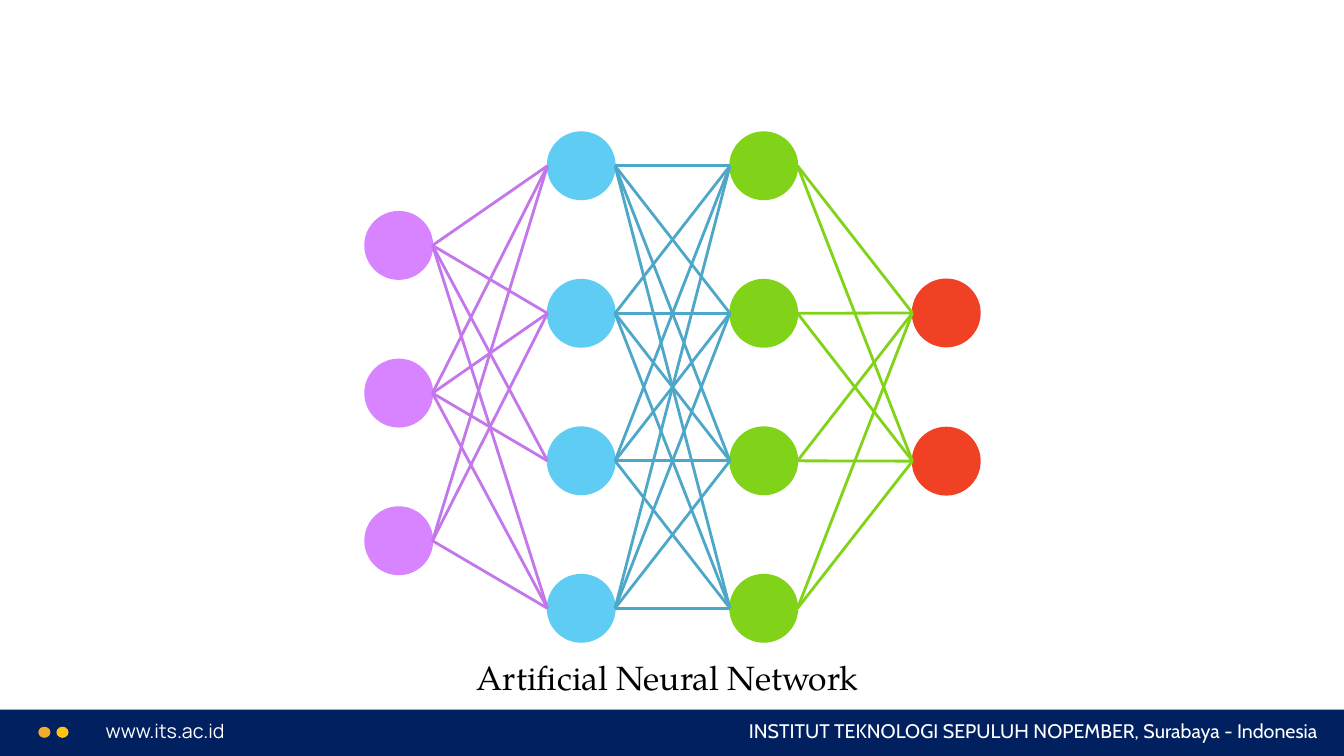
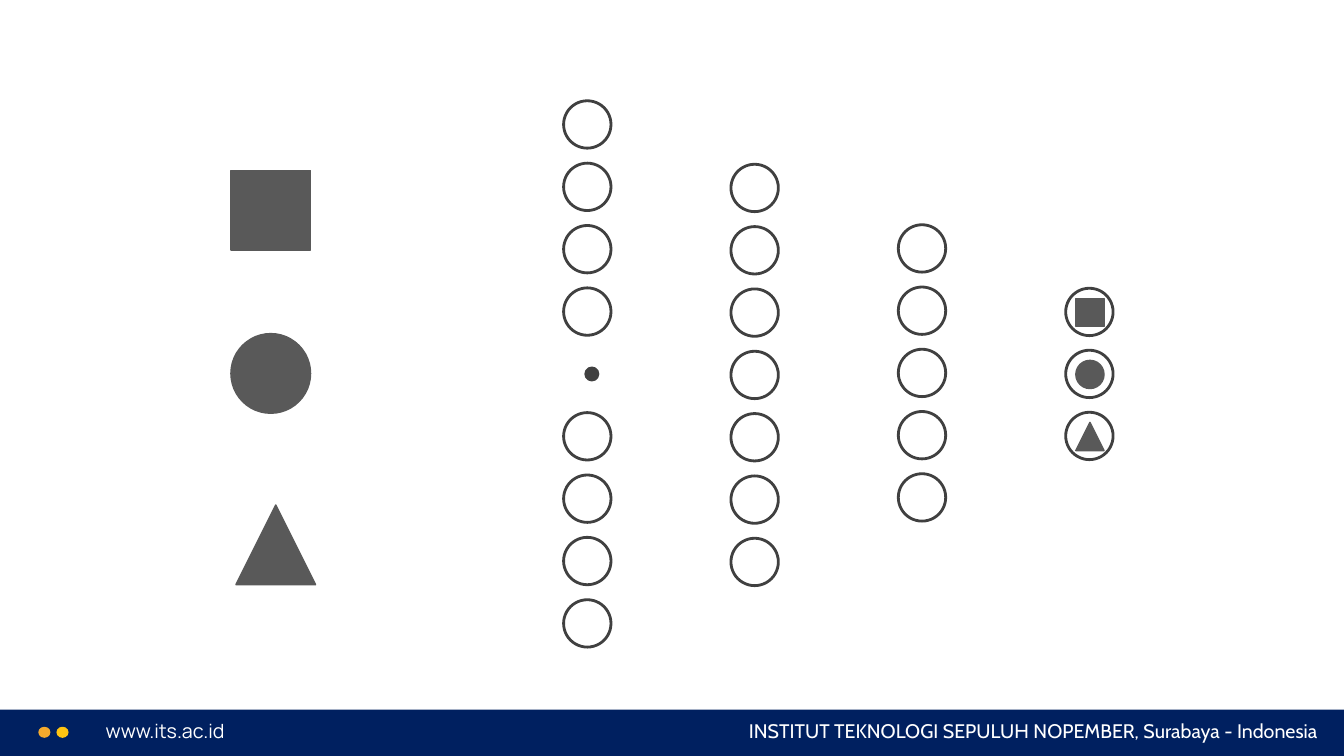
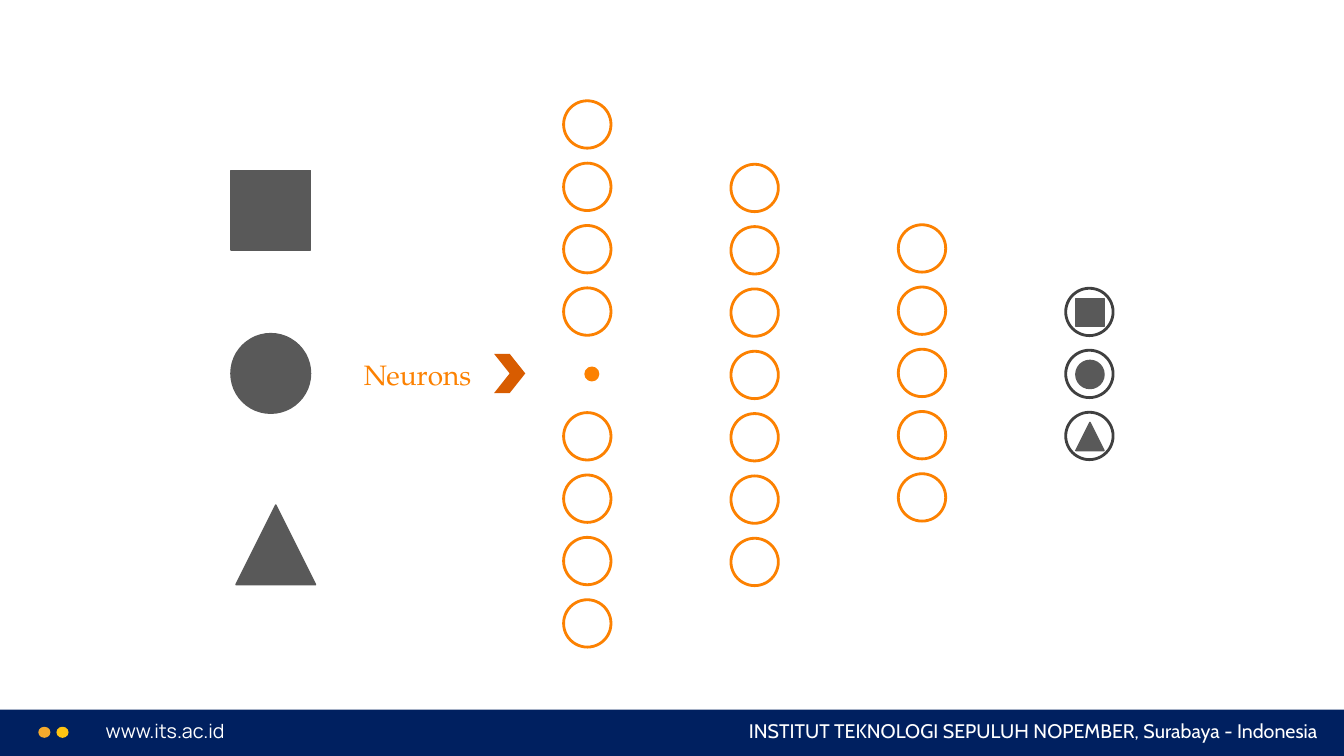
from lxml.etree import SubElement
from pptx import Presentation
from pptx.dml.color import RGBColor
from pptx.enum.shapes import MSO_CONNECTOR, MSO_SHAPE
from pptx.enum.text import MSO_ANCHOR, MSO_AUTO_SIZE, PP_ALIGN
from pptx.oxml.ns import qn
from pptx.util import Inches, Pt

NAVY, WHITE, BLACK = "002060", "FFFFFF", "000000"
AMBER, YELLOW = "F5AA2D", "FFC411"
ORANGE, RUST = "FC8101", "D85C00"
CHARCOAL, GRAY = "404040", "595959"
SERIF, WEB_FONT, CAMPUS_FONT = "TeX Gyre Pagella", "Manrope", "Cabin"
TITLE_ONLY, BLANK = 5, 6
NODE = 0.67
NEURON = 0.47
CLASSES = (MSO_SHAPE.RECTANGLE, MSO_SHAPE.OVAL, MSO_SHAPE.ISOSCELES_TRIANGLE)


def color(hex_code):
    return RGBColor.from_string(hex_code)


def spread(first, last, count):
    return [first + (last - first) * i / (count - 1) for i in range(count)]


class Deck:
    """Holds the shared style and the slide being built."""

    def __init__(self):
        self.presentation = Presentation()
        self.presentation.slide_width = Inches(13.33)
        self.presentation.slide_height = Inches(7.5)
        self.slide = None

    def new_slide(self, layout=BLANK):
        layouts = self.presentation.slide_layouts
        self.slide = self.presentation.slides.add_slide(layouts[layout])
        self.shape(MSO_SHAPE.RECTANGLE, 0, 7.04, 13.33, 0.46, NAVY)
        self.shape(MSO_SHAPE.OVAL, 0.38, 7.21, 0.12, 0.11, AMBER)
        self.shape(MSO_SHAPE.OVAL, 0.56, 7.21, 0.12, 0.11, YELLOW)
        self.text("www.its.ac.id", 0.95, 7.08, 4.28, 0.34, 14, WEB_FONT, WHITE)
        self.text("INSTITUT TEKNOLOGI SEPULUH NOPEMBER, Surabaya - Indonesia",
                  5.91, 7.08, 7.26, 0.34, 14, CAMPUS_FONT, WHITE, PP_ALIGN.RIGHT)

    def shape(self, preset, left, top, width, height, fill=None, line=None, weight=1):
        shape = self.slide.shapes.add_shape(
            preset, Inches(left), Inches(top), Inches(width), Inches(height))
        shape.shadow.inherit = False
        if fill:
            shape.fill.solid()
            shape.fill.fore_color.rgb = color(fill)
        else:
            shape.fill.background()
        if line:
            shape.line.color.rgb = color(line)
            shape.line.width = Pt(weight)
        else:
            shape.line.fill.background()

    def link(self, start, end, stroke):
        link = self.slide.shapes.add_connector(
            MSO_CONNECTOR.STRAIGHT, *(Inches(value) for value in start + end))
        link.line.color.rgb = color(stroke)
        link.line.width = Pt(2)
        SubElement(link._element.spPr, qn("a:effectLst"))

    def text(self, words, left, top, width, height, size, font, ink, align=PP_ALIGN.LEFT):
        box = self.slide.shapes.add_textbox(
            Inches(left), Inches(top), Inches(width), Inches(height))
        self.set_text(box.text_frame, words, size, font, ink, align)

    def title(self, words, left, top, width, height):
        title = self.slide.shapes.title
        title.left, title.top = Inches(left), Inches(top)
        title.width, title.height = Inches(width), Inches(height)
        self.set_text(title.text_frame, words, 24, SERIF, BLACK, PP_ALIGN.CENTER)

    def set_text(self, frame, words, size, font, ink, align):
        frame.text = words
        frame.word_wrap = True
        frame.auto_size = MSO_AUTO_SIZE.NONE
        frame.vertical_anchor = MSO_ANCHOR.TOP
        paragraph = frame.paragraphs[0]
        paragraph.alignment = align
        run = paragraph.runs[0]
        run.font.size = Pt(size)
        run.font.name = font
        run.font.color.rgb = color(ink)

    def neurons(self, left, tops, ink):
        for top in tops:
            self.shape(MSO_SHAPE.OVAL, left, top, NEURON, NEURON, line=ink, weight=2)

    def class_icon(self, preset, left, top, size):
        self.shape(preset, left, top, size, size, GRAY, GRAY)

    def classifier(self, hidden_ink):
        self.new_slide()
        first_layer = spread(1, 5.95, 9)
        first_layer.pop(4)
        self.neurons(5.59, first_layer, hidden_ink)
        self.shape(MSO_SHAPE.OVAL, 5.81, 3.65, 0.12, 0.12, hidden_ink, hidden_ink, 2)
        self.neurons(7.25, spread(1.63, 5.34, 7), hidden_ink)
        self.neurons(8.91, spread(2.23, 4.7, 5), hidden_ink)
        outputs = spread(2.86, 4.09, 3)
        self.neurons(10.57, outputs, CHARCOAL)
        inputs = ((2.29, 1.69), (2.29, 3.31), (2.34, 5.01))
        for preset, (left, top), output in zip(CLASSES, inputs, outputs):
            self.class_icon(preset, left, top, 0.79)
            self.class_icon(preset, 10.67, output + 0.1, 0.28)


def build_network(deck):
    deck.new_slide(TITLE_ONLY)
    layers = (
        (3.62, spread(2.1, 5.03, 3), "D883FF", "C377EA"),
        (5.43, spread(1.31, 5.7, 4), "5ECCF3", "4DA7C8"),
        (7.24, spread(1.31, 5.7, 4), "81D31A", "81D318"),
        (9.05, spread(2.77, 4.24, 2), "F14124", None),
    )
    for left, tops, fill, _ in layers:
        for top in tops:
            deck.shape(MSO_SHAPE.OVAL, left, top, NODE, NODE, fill, fill)
    unlinked = (0, 2, 2)
    for layer, (source, target) in enumerate(zip(layers, layers[1:])):
        for i, start in enumerate(source[1]):
            for j, end in enumerate(target[1]):
                if (layer, i, j) != unlinked:
                    deck.link((source[0] + NODE, start + NODE / 2),
                              (target[0], end + NODE / 2), source[3])
    deck.title("Artificial Neural Network", 3.57, 6.47, 6.1, 0.5)


def main():
    deck = Deck()
    build_network(deck)
    deck.classifier(CHARCOAL)
    deck.classifier(ORANGE)
    deck.text("Neurons", 3.51, 3.5, 1.28, 0.44, 20, SERIF, ORANGE)
    deck.shape(MSO_SHAPE.CHEVRON, 4.9, 3.51, 0.31, 0.39, RUST)
    deck.presentation.save("out.pptx")


if __name__ == "__main__":
    main()
